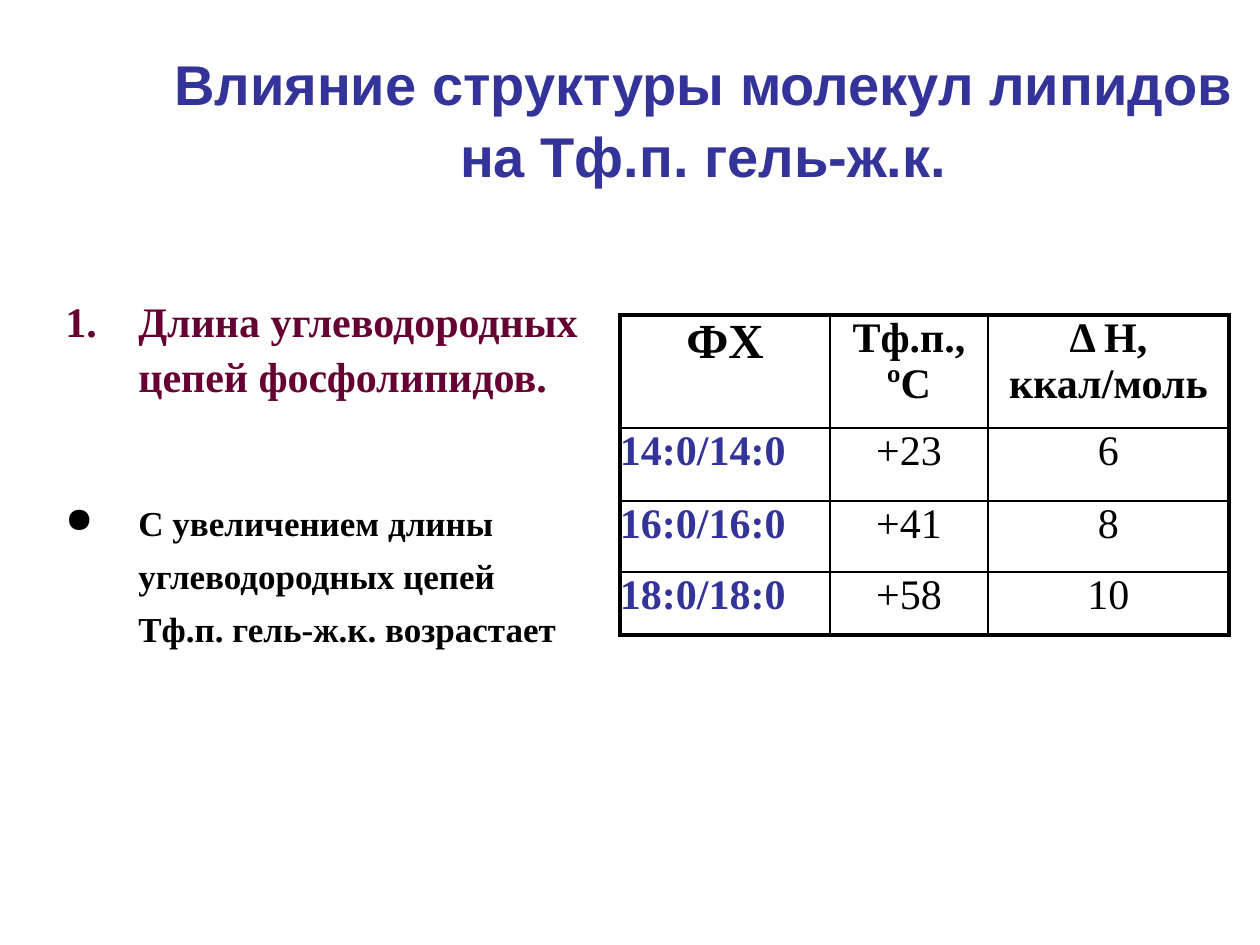
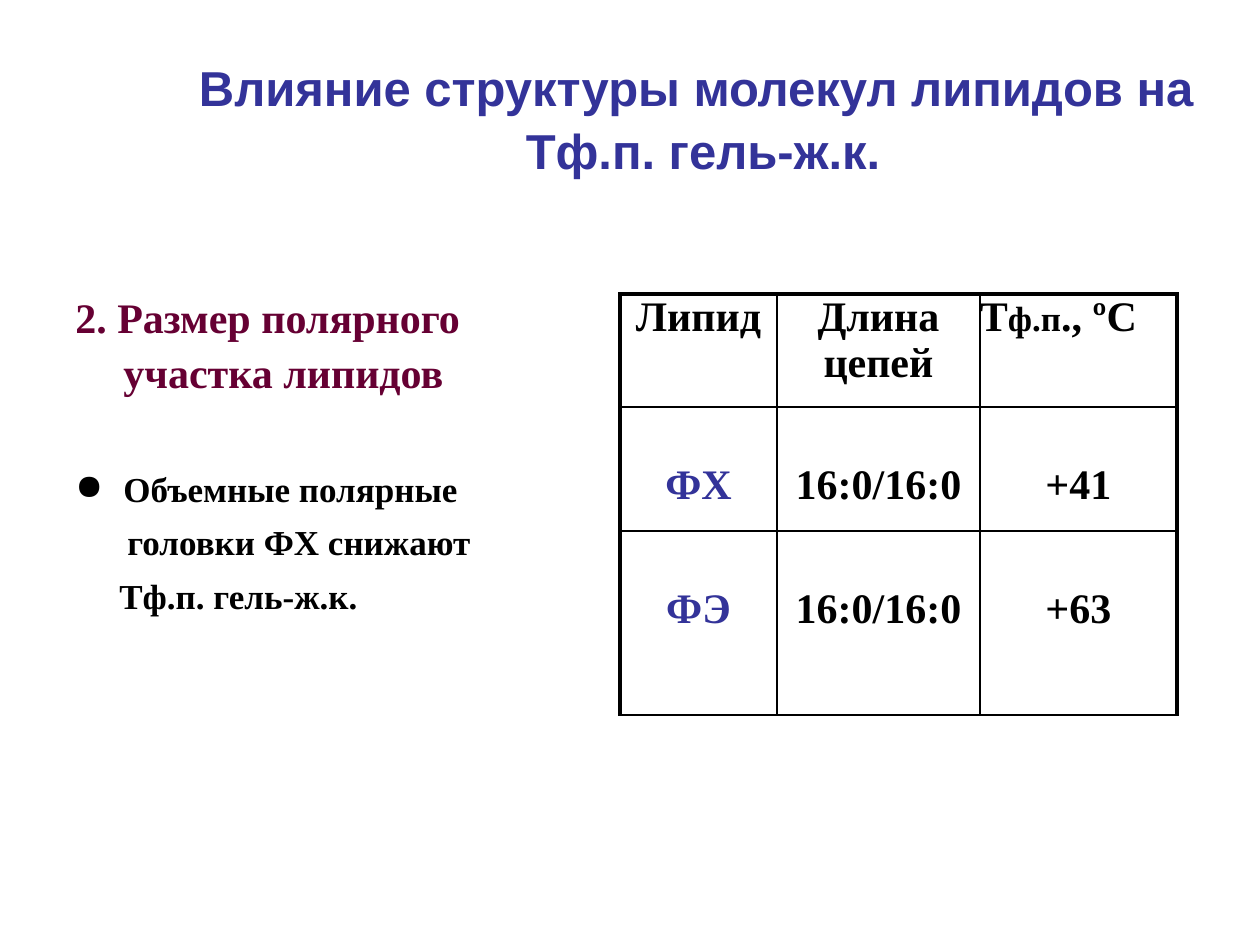
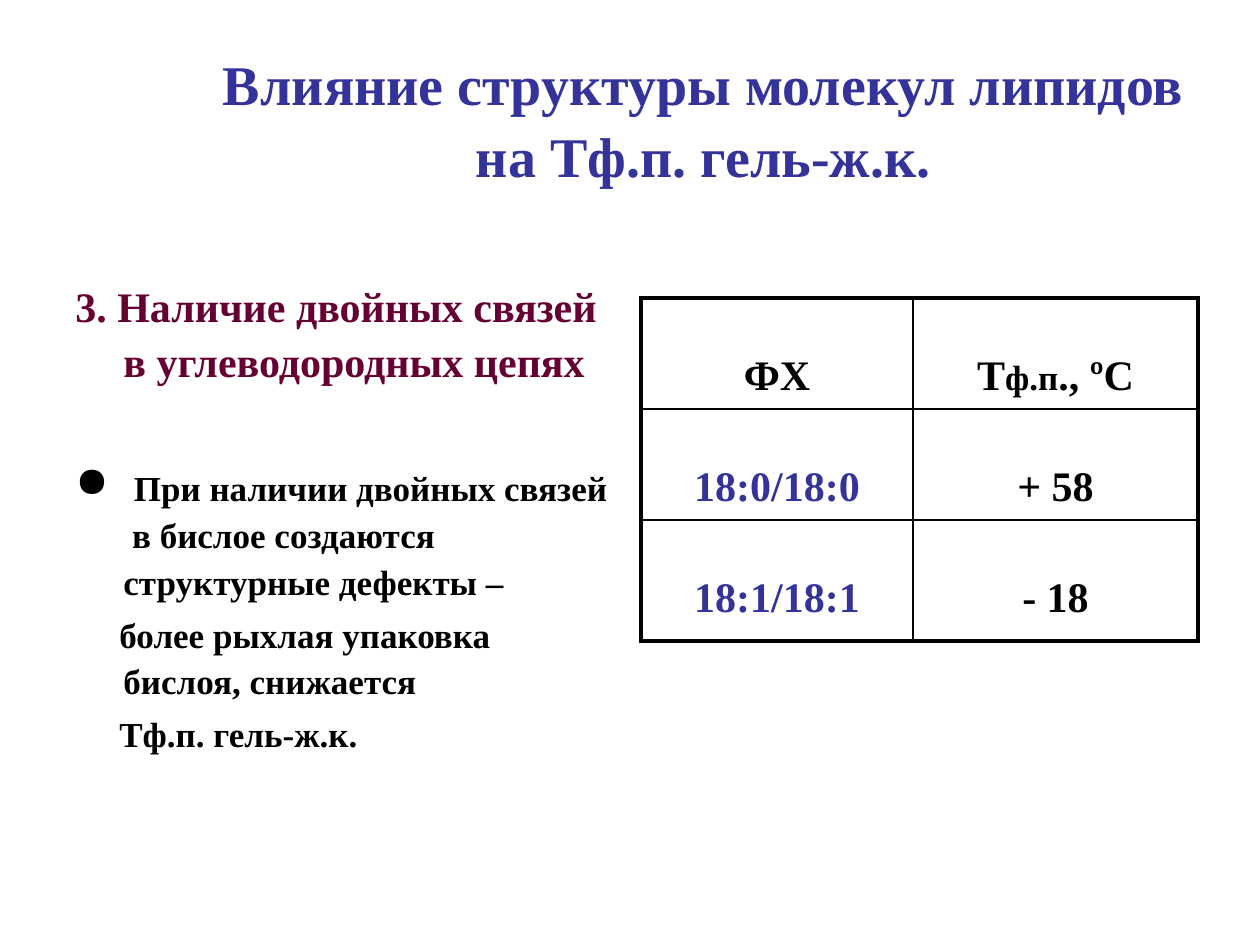
from lxml.etree import SubElement
from pptx import Presentation
from pptx.dml.color import RGBColor
from pptx.enum.text import MSO_ANCHOR, PP_ALIGN
from pptx.oxml.ns import qn
from pptx.util import Emu, Pt

BLUE = RGBColor(0x33, 0x33, 0x99)
MAROON = RGBColor(0x66, 0x00, 0x33)
BLACK = RGBColor(0, 0, 0)
SANS, SERIF = "Arial", "Times New Roman"
HEAD_SIZE, BODY_SIZE = 24, 20
THICK, THIN = 2.25, 1
DROP = 55  # px above the text of lowered table cells
MELTING = [("Т", 24), ("ф.п", 20), ("., ºС", 24)]

# Body lines: text or (text, size) runs, left margin, first-line indent (px),
# space before (pt), bullet. The first line is the heading.
SLIDES = [
    {
        "title": "Влияние структуры молекул липидов на Тф.п. гель-ж.к.",
        "title_font": (SANS, 32), "title_box": (147, 38, 1113, 157),
        "body_box": (53, 284, 557, 624),
        "body": [
            ("Длина углеводородных цепей фосфолипидов.", 73, -73, 0, "1."),
            ("С увеличением длины", 73, -73, 55, "●"),
            ("углеводородных цепей", 73, 0, 4, None),
            ("Тф.п. гель-ж.к. возрастает", 73, 0, 4, None),
        ],
        "table_at": (620, 315), "columns": [210, 158, 241],
        "heights": [113, 73, 71, 63],
        "rows": [
            [[("ФХ", 28)], "Тф.п., ºС", "Δ Н, ккал/моль"],
            ["14:0/14:0", "+23", "6"],
            ["16:0/16:0", "+41", "8"],
            ["18:0/18:0", "+58", "10"],
        ],
        "left_aligned": [(1, 0), (2, 0), (3, 0)], "bold_values": False,
        "lowered_from": 4, "side_margin": 0, "bottom_line": THICK,
    },
    {
        "title": "Влияние структуры молекул липидов на \nТф.п. гель-ж.к.",
        "title_font": (SANS, 28), "title_box": (136, 38, 1134, 157),
        "body_box": (63, 280, 557, 624),
        "body": [
            ("2. Размер полярного участка липидов", 48, -48, 0, None),
            ("Объемные полярные", 48, -48, 38, "●"),
            ("головки ФХ снижают", 52, 0, 4, None),
            ("Тф.п. гель-ж.к.", 44, 0, 4, None),
        ],
        "table_at": (620, 294), "columns": [157, 203, 197],
        "heights": [113, 124, 184],
        "rows": [
            ["Липид", "Длина цепей", MELTING],
            ["ФХ", "16:0/16:0", "+41"],
            ["ФЭ", "16:0/16:0", "+63"],
        ],
        "left_aligned": [(0, 2)], "bold_values": True,
        "lowered_from": 1, "side_margin": 0, "bottom_line": THIN,
    },
    {
        "title": "Влияние структуры молекул липидов на Тф.п. гель-ж.к.",
        "title_font": (SERIF, 32), "title_box": (210, 38, 987, 157),
        "body_box": (63, 269, 557, 624),
        "body": [
            ("3. Наличие двойных связей в углеводородных цепях", 48, -48, 0, None),
            ([(" ", 24), ("При наличии двойных связей  в бислое создаются "
                          "структурные дефекты –", 20)], 48, -48, 39, "●"),
            ("более рыхлая упаковка бислоя, снижается", 48, -4, 4, None),
            ("Тф.п. гель-ж.к.", 44, 0, 4, None),
        ],
        "table_at": (641, 298), "columns": [272, 285],
        "heights": [111, 111, 121],
        "rows": [
            ["ФХ", MELTING],
            ["18:0/18:0", "+ 58"],
            ["18:1/18:1", "- 18"],
        ],
        "left_aligned": [], "bold_values": True,
        "lowered_from": 0, "side_margin": 10, "bottom_line": THICK,
    },
]


def px(length):
    return Emu(round(length * 914400 / 126))


def write(paragraph, content, size, color, font_name=SERIF, bold=True):
    """Fill a paragraph with a string or with (text, size) runs."""
    if isinstance(content, str):
        paragraph.text = content
        paragraph.font.size = Pt(size)
    else:
        for text, run_size in content:
            run = paragraph.add_run()
            run.text = text
            run.font.size = Pt(run_size)
    paragraph.font.name = font_name
    paragraph.font.bold = bold
    paragraph.font.color.rgb = color


def add_text_frame(slide, box):
    frame = slide.shapes.add_textbox(*map(px, box)).text_frame
    frame.word_wrap = True
    return frame


def add_title(slide, content):
    frame = add_text_frame(slide, content["title_box"])
    frame.vertical_anchor = MSO_ANCHOR.MIDDLE
    paragraph = frame.paragraphs[0]
    paragraph.alignment = PP_ALIGN.CENTER
    paragraph.line_spacing = 1.07
    font_name, size = content["title_font"]
    write(paragraph, content["title"], size, BLUE, font_name)


def set_bullet(paragraph, bullet, color):
    properties = paragraph._p.get_or_add_pPr()
    bullet_color = SubElement(properties, qn("a:buClr"))
    SubElement(bullet_color, qn("a:srgbClr"), val=str(color))
    if bullet == "1.":
        SubElement(properties, qn("a:buAutoNum"), type="arabicPeriod")
    else:
        SubElement(properties, qn("a:buChar"), char=bullet)


def add_body(slide, content):
    frame = add_text_frame(slide, content["body_box"])
    for index, (text, margin, indent, space, bullet) in enumerate(content["body"]):
        paragraph = frame.add_paragraph() if index else frame.paragraphs[0]
        size, color = (BODY_SIZE, BLACK) if index else (HEAD_SIZE, MAROON)
        properties = paragraph._p.get_or_add_pPr()
        properties.set("marL", str(px(margin)))
        properties.set("indent", str(px(indent)))
        paragraph.line_spacing = 1.1
        if space:
            paragraph.space_before = Pt(space)
        if bullet:
            set_bullet(paragraph, bullet, color)
        write(paragraph, text, size, color)


def set_borders(cell, widths):
    properties = cell._tc.get_or_add_tcPr()
    for side, width in zip("LRTB", widths):
        line = SubElement(properties, qn(f"a:ln{side}"), w=str(Pt(width)))
        fill = SubElement(line, qn("a:solidFill"))
        SubElement(fill, qn("a:srgbClr"), val=str(BLACK))


def add_lipid_table(slide, content):
    rows, columns, heights = content["rows"], content["columns"], content["heights"]
    size = (sum(columns), sum(heights))
    table = slide.shapes.add_table(
        len(rows), len(columns), *map(px, content["table_at"] + size)).table
    table.first_row = table.horz_banding = False
    for column, width in zip(table.columns, columns):
        column.width = px(width)
    for row, height in zip(table.rows, heights):
        row.height = px(height)

    last_row, last_column = len(rows) - 1, len(columns) - 1
    for r, row in enumerate(rows):
        for c, text in enumerate(row):
            cell = table.cell(r, c)
            set_borders(cell, (
                THIN if c else THICK,
                THICK if c == last_column else THIN,
                THIN if r else THICK,
                content["bottom_line"] if r == last_row else THIN,
            ))
            cell.fill.background()
            cell.margin_left = cell.margin_right = px(content["side_margin"])
            cell.margin_top = px(DROP if r >= content["lowered_from"] else 0)
            cell.margin_bottom = 0
            paragraph = cell.text_frame.paragraphs[0]
            is_left = (r, c) in content["left_aligned"]
            paragraph.alignment = PP_ALIGN.LEFT if is_left else PP_ALIGN.CENTER
            is_value = r > 0 and c > 0
            write(paragraph, text, HEAD_SIZE,
                  BLUE if r and not c else BLACK,
                  bold=content["bold_values"] or not is_value)


def main():
    presentation = Presentation()
    presentation.slide_width, presentation.slide_height = px(1260), px(945)
    for content in SLIDES:
        slide = presentation.slides.add_slide(presentation.slide_layouts[6])
        add_title(slide, content)
        add_body(slide, content)
        add_lipid_table(slide, content)
    presentation.save("out.pptx")


if __name__ == "__main__":
    main()
